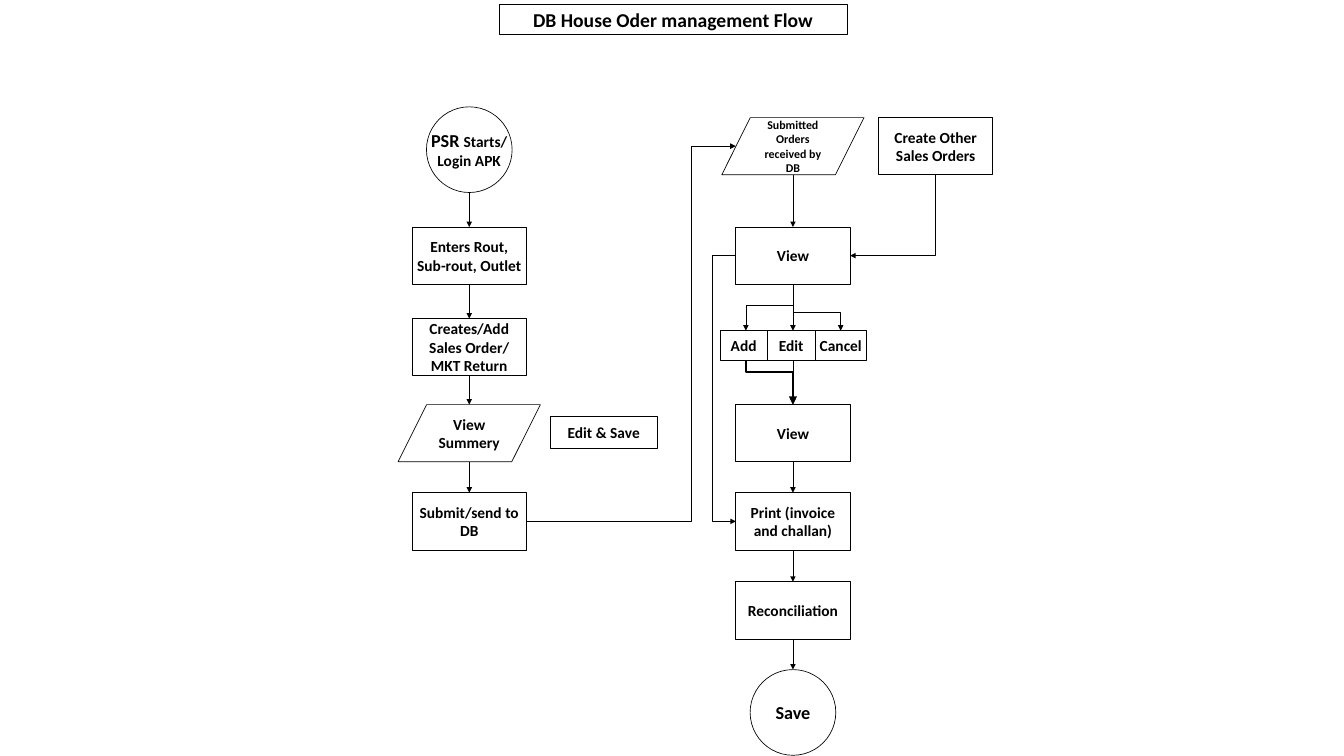
import pptx
import pptx.util
import pptx.dml.color
import pptx.enum.shapes
import pptx.enum.text
import pptx.oxml
import pptx.oxml.ns

Pt = pptx.util.Pt
SHAPES = pptx.enum.shapes.MSO_SHAPE


def color(hex_string):
    return pptx.dml.color.RGBColor.from_string(hex_string)


class FlowChart:
    font, ink, thin = "Calibri", "000000", 0.48
    box_width, box_height, slant_width, circle_size = 81.6, 40.8, 101.6, 61.2

    def __init__(self, slide):
        self.slide = slide

    def style_run(self, run, size):
        run.font.name, run.font.size, run.font.bold = self.font, Pt(size), True
        run.font.color.rgb = color(self.ink)

    def style_line(self, shape, weight):
        shape.line.color.rgb = color(self.ink)
        shape.line.width = Pt(weight)

    def block(self, text, center, top, width=box_width, height=box_height, size=11,
              kind=SHAPES.RECTANGLE):
        shape = self.slide.shapes.add_shape(
            kind, Pt(center - width / 2), Pt(top), Pt(width), Pt(height))
        shape.shadow.inherit = False
        shape.fill.background()
        self.style_line(shape, self.thin)
        frame = shape.text_frame
        frame.text = text
        frame.word_wrap = False
        frame.vertical_anchor = pptx.enum.text.MSO_ANCHOR.MIDDLE
        frame.margin_left = frame.margin_right = frame.margin_top = frame.margin_bottom = 0
        for paragraph in frame.paragraphs:
            paragraph.alignment = pptx.enum.text.PP_ALIGN.CENTER
            for run in paragraph.runs:
                self.style_run(run, size)
        return shape

    def slanted(self, text, center, top, size=11):
        shape = self.block(text, center, top, self.slant_width, size=size,
                           kind=SHAPES.PARALLELOGRAM)
        shape.adjustments[0] = 0.5

    def circle(self, text, center, top, size):
        return self.block(text, center, top, self.circle_size, self.circle_size, size,
                          SHAPES.OVAL)

    def arrow(self, *points, weight=thin, head="sm"):
        corners = [(Pt(x), Pt(y)) for x, y in points]
        if len(corners) == 2:
            shape = self.slide.shapes.add_connector(
                pptx.enum.shapes.MSO_CONNECTOR.STRAIGHT, *corners[0], *corners[1])
            properties = shape.element.find(pptx.oxml.ns.qn("p:spPr"))
            self.style_line(shape, weight)
            properties.append(pptx.oxml.parse_xml(
                "<a:effectLst %s/>" % pptx.oxml.ns.nsdecls("a")))
        else:
            builder = self.slide.shapes.build_freeform(*corners[0])
            builder.add_line_segments(corners[1:], close=False)
            shape = builder.convert_to_shape()
            shape.shadow.inherit = False
            shape.fill.background()
            self.style_line(shape, weight)
        line = shape.element.find(".//" + pptx.oxml.ns.qn("a:ln"))
        line.append(pptx.oxml.parse_xml('<a:tailEnd %s type="triangle" w="%s" len="%s"/>' % (
            pptx.oxml.ns.nsdecls("a"), head, head)))


presentation = pptx.Presentation()
presentation.slide_width, presentation.slide_height = Pt(960), Pt(540)
chart = FlowChart(presentation.slides.add_slide(presentation.slide_layouts[6]))

# Shared columns and rows
order_x, house_x, other_x = 335.2, 566.4, 668.4
receive_y, enter_y, create_y, summary_y = 84, 162.2, 227.6, 289
submit_y, reconcile_y, start_y, save_y = 352, 415.6, 76.3, 478.3
half_width, half_height = chart.box_width / 2, chart.box_height / 2

# Title
chart.block("DB House Oder management Flow", 480.8, 3, 248.6, 21.6, 14)

# Order taking column
start = chart.circle("PSR \nLogin APK", order_x, start_y, 11)
first_line = start.text_frame.paragraphs[0]
chart.style_run(first_line.runs[0], 13)
starts = first_line.add_run()
starts.text = "Starts/"
chart.style_run(starts, 11)
chart.block("Enters Rout,\nSub-rout, Outlet", order_x, enter_y)
chart.block("Creates/Add\nSales Order/\nMKT Return", order_x, create_y)
chart.slanted("View\nSummery", order_x, summary_y)
chart.block("Submit/send to\vDB", order_x, submit_y)
chart.block("Edit & Save", 431.3, 297.4, 76.6, 23.2)

# Distribution house column
chart.slanted("Submitted\vOrders\vreceived by\vDB", house_x, receive_y, 8.5)
chart.block("Create Other\nSales Orders", other_x, receive_y)
chart.block("View", house_x, enter_y)
chart.block("View", house_x, summary_y)
chart.block("Print (invoice\vand challan)", house_x, submit_y)
chart.block("Reconciliation", house_x, reconcile_y)
chart.circle("Save", house_x, save_y, 13)

# Row of choices
choice_y, choice_height = 236.2, 21.2
choice_left = 514.2
for choice, width in (("Add", 34), ("Edit", 34), ("Cancel", 36.8)):
    chart.block(choice, choice_left + width / 2, choice_y, width, choice_height)
    choice_left += width

# Straight arrows down each column
for center, top, bottom in (
        (order_x, start_y + chart.circle_size, enter_y),
        (order_x, enter_y + chart.box_height, create_y),
        (order_x, create_y + chart.box_height, summary_y),
        (order_x, summary_y + chart.box_height, submit_y),
        (house_x, receive_y + chart.box_height, enter_y),
        (house_x, enter_y + chart.box_height, choice_y),
        (house_x, choice_y + choice_height, summary_y),
        (house_x, summary_y + chart.box_height, submit_y),
        (house_x, submit_y + chart.box_height, reconcile_y),
        (house_x, reconcile_y + chart.box_height, save_y)):
    chart.arrow((center, top), (center, bottom))

# Bent arrows between the blocks
receive_mid, view_mid, submit_mid = (
    top + half_height for top in (receive_y, enter_y, submit_y))
house_left, house_right = house_x - half_width, house_x + half_width
add_x, cancel_x, view_bottom = 532.8, 600.5, enter_y + chart.box_height
chart.arrow((order_x + half_width, submit_mid), (494, submit_mid),
            (494, receive_mid), (house_left, receive_mid))
chart.arrow((other_x, receive_y + chart.box_height), (other_x, view_mid),
            (house_right, view_mid))
chart.arrow((house_left, view_mid), (508.5, view_mid),
            (508.5, submit_mid), (house_left, submit_mid))
for center, turn in ((add_x, 218.2), (cancel_x, 223.2)):
    chart.arrow((house_x, view_bottom), (house_x, turn), (center, turn), (center, choice_y))
chart.arrow((add_x, choice_y + choice_height), (add_x, 265.8), (house_x, 265.8),
            (house_x, summary_y), weight=1.6, head="med")

presentation.save("out.pptx")
